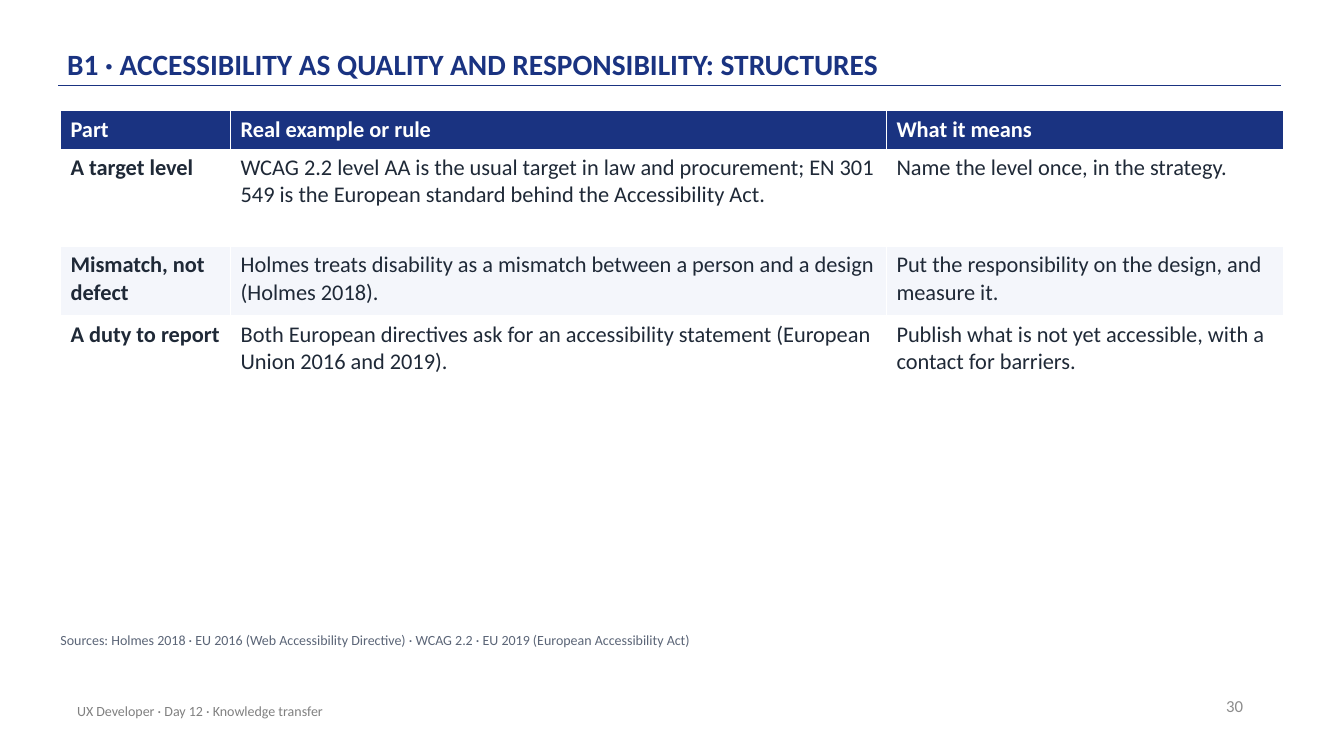
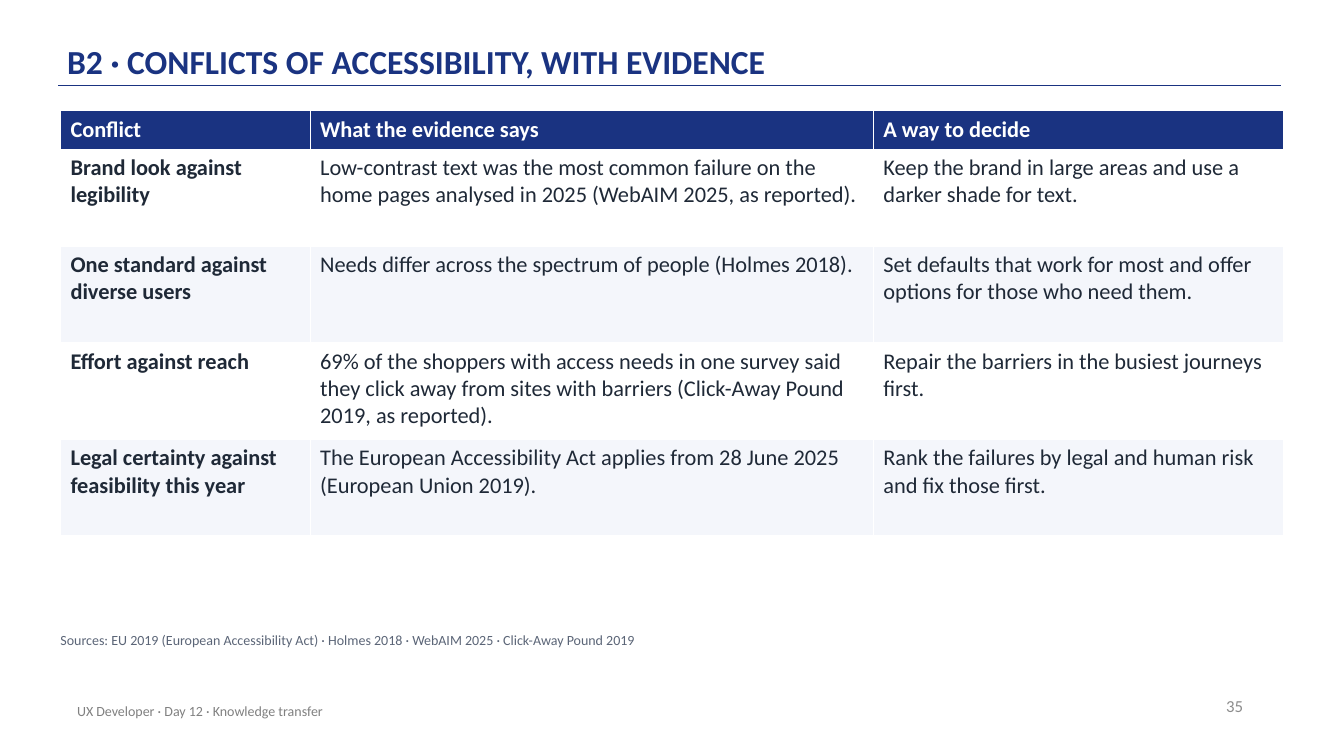
from lxml.etree import SubElement
from pptx import Presentation
from pptx.dml.color import RGBColor
from pptx.enum.shapes import MSO_CONNECTOR as Connector
from pptx.enum.text import MSO_ANCHOR as Anchor, PP_ALIGN as Align
from pptx.oxml.ns import qn
from pptx.util import Pt

NAVY = RGBColor(0x1A, 0x33, 0x81)
INK = RGBColor(0x1F, 0x29, 0x37)
SLATE = RGBColor(0x5B, 0x65, 0x77)
GREY = RGBColor(0x80, 0x80, 0x80)
LIGHT_GREY = RGBColor(0x8C, 0x8C, 0x8C)
PALE = RGBColor(0xF4, 0xF6, 0xFB)
WHITE = RGBColor(0xFF, 0xFF, 0xFF)

FONT = "Calibri"
FOOTER = "UX Developer · Day 12 · Knowledge transfer"
TITLE_BOX = (48, 8.64, 792, 51.84)
TABLE_BOX = (43.2, 79.2, 873.4)
SOURCES_BOX = (43.2, 451.4, 871.2, 21.6)
FOOTER_BOX = (48, 493.2, 482.4, 28.8)
NUMBER_BOX = (679, 489.6, 216, 28.8)
HEADER_HEIGHT = 27.4

SLIDES = [
    {
        "title": "B1 · ACCESSIBILITY AS QUALITY AND RESPONSIBILITY: STRUCTURES",
        "title_size": 21,
        "number": 30,
        "columns": (121.5, 468.5),
        "heights": (69.4, 49.7, 49.7),
        "rows": [
            ("Part", "Real example or rule", "What it means"),
            ("A target level",
             "WCAG 2.2 level AA is the usual target in law and procurement; "
             "EN 301 549 is the European standard behind the Accessibility Act.",
             "Name the level once, in the strategy."),
            ("Mismatch, not defect",
             "Holmes treats disability as a mismatch between a person and a design "
             "(Holmes 2018).",
             "Put the responsibility on the design, and measure it."),
            ("A duty to report",
             "Both European directives ask for an accessibility statement "
             "(European Union 2016 and 2019).",
             "Publish what is not yet accessible, with a contact for barriers."),
        ],
        "sources": "Sources: Holmes 2018 · EU 2016 (Web Accessibility Directive) · "
                   "WCAG 2.2 · EU 2019 (European Accessibility Act)",
    },
    {
        "title": "B2 · CONFLICTS OF ACCESSIBILITY, WITH EVIDENCE",
        "title_size": 24,
        "number": 35,
        "columns": (178.3, 402.3),
        "heights": (69.1,) * 4,
        "rows": [
            ("Conflict", "What the evidence says", "A way to decide"),
            ("Brand look against legibility",
             "Low-contrast text was the most common failure on the home pages "
             "analysed in 2025 (WebAIM 2025, as reported).",
             "Keep the brand in large areas and use a darker shade for text."),
            ("One standard against diverse users",
             "Needs differ across the spectrum of people (Holmes 2018).",
             "Set defaults that work for most and offer options for those who need them."),
            ("Effort against reach",
             "69% of the shoppers with access needs in one survey said they click away "
             "from sites with barriers (Click-Away Pound 2019, as reported).",
             "Repair the barriers in the busiest journeys first."),
            ("Legal certainty against feasibility this year",
             "The European Accessibility Act applies from 28 June 2025 "
             "(European Union 2019).",
             "Rank the failures by legal and human risk and fix those first."),
        ],
        "sources": "Sources: EU 2019 (European Accessibility Act) · Holmes 2018 · "
                   "WebAIM 2025 · Click-Away Pound 2019",
    },
]


def style_runs(para, size, color, bold=False):
    """Format every run of a paragraph."""
    for span in para.runs:
        span.font.name = FONT
        span.font.size = Pt(size)
        span.font.bold = bold
        span.font.color.rgb = color


def add_text(page, area, text, size, color, bold=False, anchor=Anchor.MIDDLE, insets=(7.2, 3.6)):
    """Place one wrapped line of text in an area and return its paragraph."""
    frame = page.shapes.add_textbox(*map(Pt, area)).text_frame
    frame.word_wrap = True
    frame.vertical_anchor = anchor
    frame.margin_left = frame.margin_right = Pt(insets[0])
    frame.margin_top = frame.margin_bottom = Pt(insets[1])
    frame.text = text
    para = frame.paragraphs[0]
    style_runs(para, size, color, bold)
    return para


def add_heading(page, area, text, size):
    """Place the slide title with the rule that runs beneath it."""
    left, top, width, height = area
    rule_top = Pt(top + height + 0.72)
    rule = page.shapes.add_connector(
        Connector.STRAIGHT, Pt(left - 6.2), rule_top, Pt(left + width + 75.1), rule_top)
    rule.line.color.rgb = NAVY
    rule.line.width = Pt(1)
    SubElement(rule.element.spPr, qn("a:effectLst"))
    para = add_text(page, area, text, size, NAVY, True, Anchor.BOTTOM, (0, 2.16))
    para.line_spacing = 0.9


def add_footer(page, number):
    """Place the course name and the page number."""
    para = add_text(page, NUMBER_BOX, str(number), 12, LIGHT_GREY)
    para.alignment = Align.RIGHT
    add_text(page, FOOTER_BOX, FOOTER, 10, GREY)


def add_grid(page, area, rows, columns, heights):
    """Place a table whose last column takes the width that is left."""
    left, top, width = area
    widths = (*columns, width - sum(columns))
    heights = (HEADER_HEIGHT, *heights)
    grid = page.shapes.add_table(
        len(rows), len(widths), Pt(left), Pt(top), Pt(width), Pt(sum(heights))).table
    for column, column_width in zip(grid.columns, widths):
        column.width = Pt(column_width)
    for row_index, (row, height, texts) in enumerate(zip(grid.rows, heights, rows)):
        row.height = Pt(height)
        header = row_index == 0
        fill = NAVY if header else WHITE if row_index % 2 else PALE
        for column_index, (cell, text) in enumerate(zip(row.cells, texts)):
            cell.fill.solid()
            cell.fill.fore_color.rgb = fill
            cell.text_frame.text = text
            style_runs(cell.text_frame.paragraphs[0], 16,
                       WHITE if header else INK, header or column_index == 0)


def add_table_slide(deck, content):
    """Build one slide with a heading, a table, its sources and the footer."""
    page = deck.slides.add_slide(deck.slide_layouts[6])
    add_heading(page, TITLE_BOX, content["title"], content["title_size"])
    add_footer(page, content["number"])
    add_grid(page, TABLE_BOX, content["rows"], content["columns"], content["heights"])
    para = add_text(page, SOURCES_BOX, content["sources"], 10, SLATE,
                    anchor=Anchor.TOP, insets=(0, 0))
    para.space_after = Pt(6)


def main():
    """Build and save the deck."""
    deck = Presentation()
    deck.slide_width, deck.slide_height = Pt(960), Pt(540)
    for content in SLIDES:
        add_table_slide(deck, content)
    deck.save("out.pptx")


if __name__ == "__main__":
    main()
